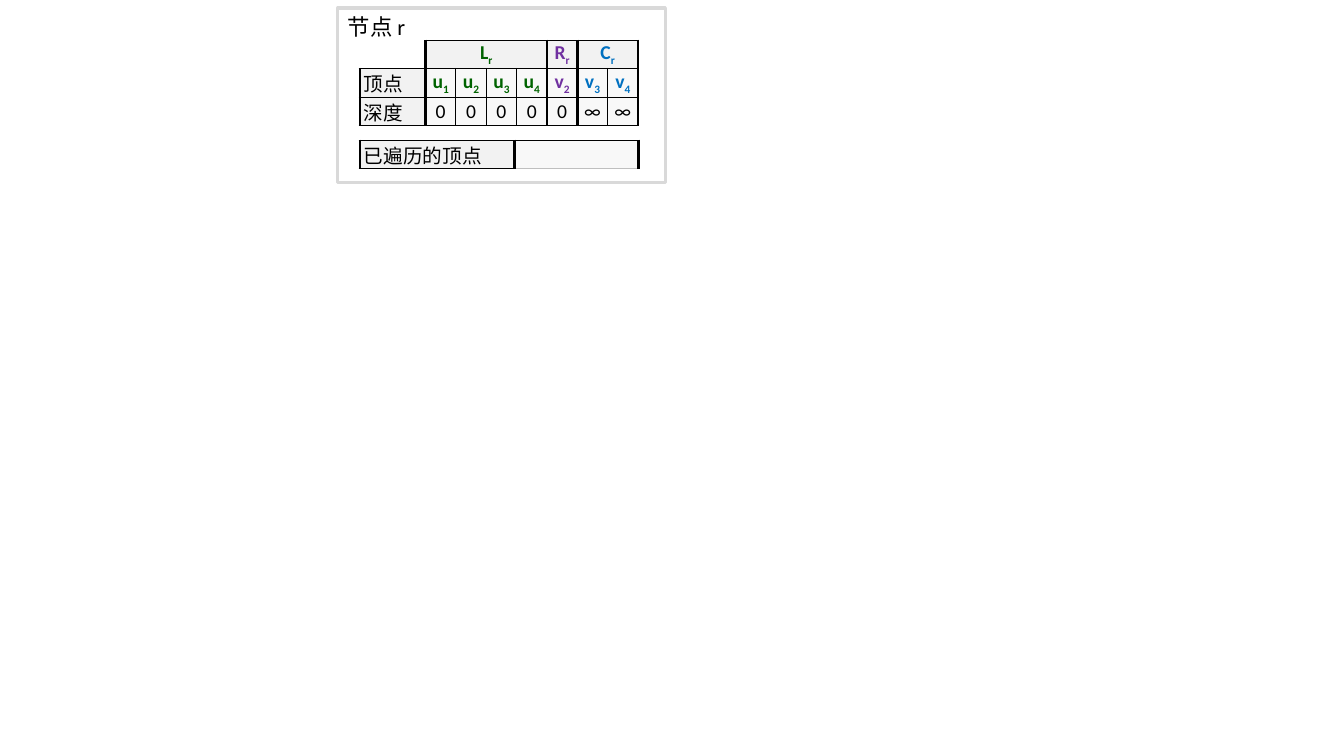
from lxml import etree
from pptx import Presentation
from pptx import util as u
from pptx.dml.color import RGBColor
from pptx.enum import shapes, text
from pptx.oxml.ns import qn

COLORS = {
    "ink": "000000", "frame": "D9D9D9", "label": "F2F2F2", "value": "F8F8F8",
    "pale": "BFBFBF", "left": "006300", "right": "7030A0", "child": "0070C0",
}
FONT = "Calibri"
THICK, THIN = 2.25, 1
ROW_HEIGHT = 0.28
LABEL_WIDTH = 0.65

# Group name, subscript, colour and the vertices it holds
GROUPS = [
    ("L", "r", "left", ["u1", "u2", "u3", "u4"]),
    ("R", "r", "right", ["v2"]),
    ("C", "r", "child", ["v3", "v4"]),
]
DEPTHS = ["0", "0", "0", "0", "0", "∞", "∞"]


def rgb(name):
    return RGBColor.from_string(COLORS[name])


def style_run(run, size, color="ink", bold=False):
    run.font.name = FONT
    run.font.size = u.Pt(size)
    run.font.bold = bold
    run.font.color.rgb = rgb(color)


def set_borders(cell, left, right, top=THIN, bottom=THIN, bottom_color="ink"):
    """Draw the four cell edges; a width of 0 hides an edge."""
    properties = cell._tc.get_or_add_tcPr()
    edges = [("L", left, "ink"), ("R", right, "ink"),
             ("T", top, "ink"), ("B", bottom, bottom_color)]
    for side, width, color in edges:
        line = etree.SubElement(properties, qn(f"a:ln{side}"), w=str(u.Pt(width)))
        if width:
            paint = etree.SubElement(line, qn("a:solidFill"))
            etree.SubElement(paint, qn("a:srgbClr"), val=COLORS[color])
        else:
            etree.SubElement(line, qn("a:noFill"))


def fill_cell(cell, fill, base="", sub="", color="ink", bold=False, centered=True):
    """Fill the cell and write base with an optional subscript."""
    cell.margin_left = u.Inches(0 if centered else 0.04)
    cell.margin_right = cell.margin_top = cell.margin_bottom = 0
    cell.vertical_anchor = text.MSO_ANCHOR.MIDDLE
    if fill:
        cell.fill.solid()
        cell.fill.fore_color.rgb = rgb(fill)
    else:
        cell.fill.background()
    paragraph = cell.text_frame.paragraphs[0]
    if not base:
        etree.SubElement(paragraph._p, qn("a:endParaRPr"), sz="1400")
        return
    if centered:
        paragraph.alignment = text.PP_ALIGN.CENTER
    for part in filter(None, (base, sub)):
        run = paragraph.add_run()
        run.text = part
        style_run(run, 14, color, bold)
    if sub:
        run.font._element.set("baseline", "-25000")


def add_plain_table(slide, left, top, widths, row_count):
    table = slide.shapes.add_table(
        row_count, len(widths), u.Inches(left), u.Inches(top),
        u.Inches(sum(widths)), u.Inches(ROW_HEIGHT * row_count)).table
    table.first_row = table.horz_banding = False
    for column, width in zip(table.columns, widths):
        column.width = u.Inches(width)
    for row in table.rows:
        row.height = u.Inches(ROW_HEIGHT)
    return table


def add_node_frame(slide, left, top, width, height):
    frame = slide.shapes.add_shape(
        shapes.MSO_SHAPE.RECTANGLE, u.Inches(left), u.Inches(top),
        u.Inches(width), u.Inches(height))
    frame.shadow.inherit = False
    frame.fill.background()
    frame.line.color.rgb = rgb("frame")
    frame.line.width = u.Pt(THICK)
    frame.text_frame.text = "节点 r"
    frame.text_frame.vertical_anchor = text.MSO_ANCHOR.TOP
    heading = frame.text_frame.paragraphs[0]
    heading.alignment = text.PP_ALIGN.LEFT
    style_run(heading.runs[0], 16)


def add_depth_table(slide, left, top, width):
    """Vertices in their groups, with the depth of each below."""
    vertex_width = (width - LABEL_WIDTH) / len(DEPTHS)
    table = add_plain_table(
        slide, left, top, [LABEL_WIDTH] + [vertex_width] * len(DEPTHS), 3)

    set_borders(table.cell(0, 0), left=0, right=THICK, top=0)
    fill_cell(table.cell(0, 0), None)
    for row, label in ((1, "顶点"), (2, "深度")):
        set_borders(table.cell(row, 0), THICK, THICK)
        fill_cell(table.cell(row, 0), "label", label, centered=False)

    first = 1
    for name, sub, color, vertices in GROUPS:
        last = first + len(vertices) - 1
        for column, vertex in enumerate(vertices, first):
            edges = (THICK if column == first else THIN,
                     THICK if column == last else THIN)
            set_borders(table.cell(0, column), THICK, THICK)
            for row in (1, 2):
                set_borders(table.cell(row, column), *edges)
            fill_cell(table.cell(1, column), "value", vertex[0], vertex[1], color, True)
            fill_cell(table.cell(2, column), "value", DEPTHS[column - 1])
        if last > first:
            table.cell(0, first).merge(table.cell(0, last))
        fill_cell(table.cell(0, first), "label", name, sub, color, True)
        first = last + 1


def add_visited_table(slide, left, top, width):
    label_width = 1.53
    table = add_plain_table(slide, left, top, [label_width, width - label_width], 1)
    label, visited = table.cell(0, 0), table.cell(0, 1)
    set_borders(label, THICK, THICK)
    fill_cell(label, "label", "已遍历的顶点", centered=False)
    set_borders(visited, THICK, THICK, bottom_color="pale")
    fill_cell(visited, "value")


def add_node_card(slide, left, top, width, height):
    add_node_frame(slide, left, top, width, height)
    table_left, table_width = left + 0.22, 2.76
    add_depth_table(slide, table_left, top + 0.32, table_width)
    add_visited_table(slide, table_left, top + 1.31, table_width)


def main():
    deck = Presentation()
    deck.slide_width, deck.slide_height = u.Inches(13.33), u.Inches(7.5)
    slide = deck.slides.add_slide(deck.slide_layouts[6])
    add_node_card(slide, 3.35, 0.08, 3.25, 1.73)
    deck.save("out.pptx")


if __name__ == "__main__":
    main()
